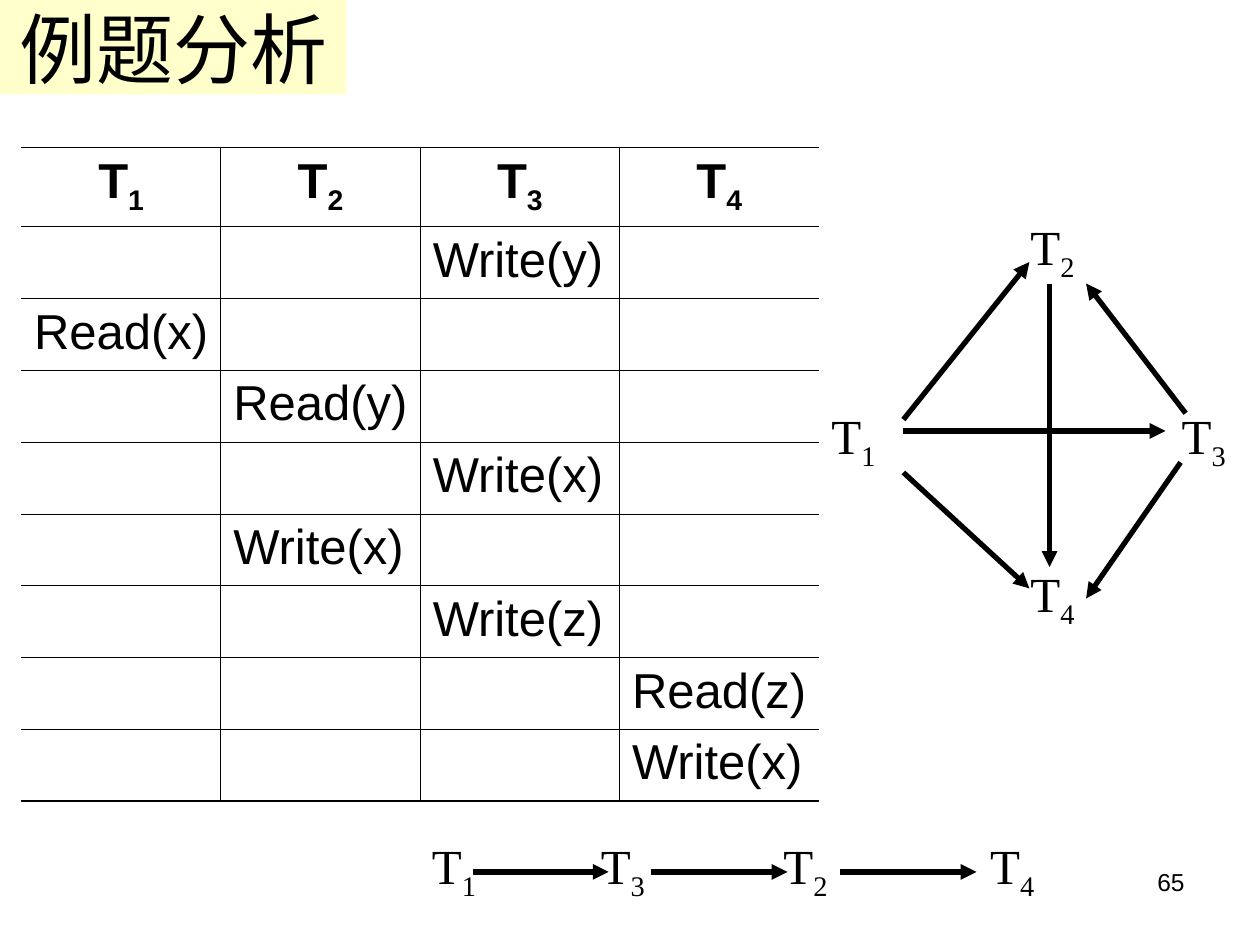
import dataclasses

import lxml.etree
import pptx
import pptx.dml.color
import pptx.enum.shapes
import pptx.enum.text
import pptx.oxml.ns
import pptx.util

Inches = pptx.util.Inches
Pt = pptx.util.Pt
qn = pptx.oxml.ns.qn
ALIGN = pptx.enum.text.PP_ALIGN


@dataclasses.dataclass(frozen=True)
class Theme:
    """Colours, fonts and sizes of the slide."""
    ink: str = "000000"
    title_fill: str = "FFFFCC"
    sans: str = "Arial"
    serif: str = "Times New Roman"
    title: int = 44
    body: int = 28
    number: int = 14
    arrow: float = 3
    thin: float = 0.45
    thick: float = 1.08


THEME = Theme()
HEADINGS = ("T1", "T2", "T3", "T4")
SCHEDULE = (
    (3, "Write(y)"), (1, "Read(x)"), (2, "Read(y)"), (3, "Write(x)"),
    (2, "Write(x)"), (3, "Write(z)"), (4, "Read(z)"), (4, "Write(x)"),
)


def rgb(code):
    """Return the colour for a hex code."""
    return pptx.dml.color.RGBColor.from_string(code)


def style(p, size, name, align=ALIGN.LEFT, bold=False):
    """Set the alignment and font of a paragraph."""
    p.alignment = align
    p.font.size, p.font.name, p.font.bold = Pt(size), name, bold
    p.font.color.rgb = rgb(THEME.ink)


def write_transaction(p, label):
    """Write a transaction name with its number as a subscript."""
    p.add_run().text = label[0]
    r = p.add_run()
    r.text = label[1:]
    r._r.get_or_add_rPr().set("baseline", "-25000")


def add_box(shapes, x, y, w, h):
    """Add a wrapping text box and return its first paragraph."""
    tf = shapes.add_textbox(Inches(x), Inches(y), Inches(w), Inches(h)).text_frame
    tf.word_wrap = True
    return tf.paragraphs[0]


def add_label(shapes, label, x, y):
    """Add one transaction label."""
    p = add_box(shapes, x, y, 0.63, 0.63)
    write_transaction(p, label)
    style(p, THEME.body, THEME.serif)


def add_arrow(shapes, x1, y1, x2, y2):
    """Add a heavy arrow that points at its second end."""
    c = shapes.add_connector(
        pptx.enum.shapes.MSO_CONNECTOR.STRAIGHT,
        Inches(x1), Inches(y1), Inches(x2), Inches(y2))
    c.line.width = Pt(THEME.arrow)
    c.line.color.rgb = rgb(THEME.ink)
    lxml.etree.SubElement(c.line._get_or_add_ln(), qn("a:tailEnd"), type="triangle")
    lxml.etree.SubElement(c._element.spPr, qn("a:effectLst"))


def set_border(cell, side, width):
    """Draw one cell border, or clear it when the width is zero."""
    ln = lxml.etree.SubElement(
        cell._tc.get_or_add_tcPr(), qn(f"a:ln{side}"), w=str(int(Pt(width))))
    if width:
        fill = lxml.etree.SubElement(ln, qn("a:solidFill"))
        lxml.etree.SubElement(fill, qn("a:srgbClr"), val=THEME.ink)
    else:
        lxml.etree.SubElement(ln, qn("a:noFill"))


def add_title(s, text, x, y, w, h):
    """Place the title on its tinted band."""
    sp = s.shapes.title
    sp.left, sp.top, sp.width, sp.height = (Inches(v) for v in (x, y, w, h))
    sp.fill.solid()
    sp.fill.fore_color.rgb = rgb(THEME.title_fill)
    tf = sp.text_frame
    tf.text = text
    tf.auto_size = pptx.enum.text.MSO_AUTO_SIZE.NONE
    tf.vertical_anchor = pptx.enum.text.MSO_ANCHOR.MIDDLE
    style(tf.paragraphs[0], THEME.title, THEME.sans, ALIGN.CENTER)


def add_schedule(s, x, y, w, h):
    """Add the table of operations, one step in each row."""
    rows, cols = len(SCHEDULE) + 1, len(HEADINGS)
    head = 0.63
    table = s.shapes.add_table(
        rows, cols, Inches(x), Inches(y), Inches(w), Inches(h)).table
    table.first_row = table.horz_banding = False
    for i, row in enumerate(table.rows):
        row.height = Inches((h - head) / (rows - 1) if i else head)
        for j, cell in enumerate(row.cells):
            set_border(cell, "L", THEME.thin if j else 0)
            set_border(cell, "R", THEME.thin if j < cols - 1 else 0)
            set_border(cell, "T", THEME.thin if i else THEME.thick)
            set_border(cell, "B", THEME.thin if i < rows - 1 else THEME.thick)
            cell.fill.background()
    for j, heading in enumerate(HEADINGS):
        p = table.cell(0, j).text_frame.paragraphs[0]
        write_transaction(p, heading)
        style(p, THEME.body, THEME.sans, ALIGN.CENTER, True)
    for i, (transaction, step) in enumerate(SCHEDULE, 1):
        p = table.cell(i, transaction - 1).text_frame.paragraphs[0]
        p.text = step
        style(p, THEME.body, THEME.sans)


def add_order(s, x, y):
    """Add the serial order as a chain of transactions."""
    shapes = s.shapes.add_group_shape().shapes
    for label, dx in (("T1", 0), ("T3", 1.34), ("T2", 2.79), ("T4", 4.43)):
        add_label(shapes, label, x + dx, y)
    for dx in (0.42, 1.84, 3.34):
        add_arrow(shapes, x + dx, y + 0.34, x + dx + 1.08, y + 0.34)


def add_graph(s, x, y):
    """Add the precedence graph."""
    shapes = s.shapes.add_group_shape().shapes
    nodes = (("T3", 2.78, 1.5), ("T1", 0, 1.5), ("T2", 1.58, 0), ("T4", 1.58, 2.75))
    edges = (
        (0.67, 1.75, 2.75, 1.75), (0.67, 1.66, 1.67, 0.41),
        (0.67, 2.08, 1.67, 3), (1.83, 0.58, 1.83, 2.83),
        (2.87, 2, 2.12, 3.08), (2.91, 1.61, 2.12, 0.58),
    )
    for label, dx, dy in nodes:
        add_label(shapes, label, x + dx, y + dy)
    for x1, y1, x2, y2 in edges:
        add_arrow(shapes, x + x1, y + y1, x + x2, y + y2)


def add_number(s, text, x, y, w, h):
    """Add the page number."""
    p = add_box(s.shapes, x, y, w, h)
    p.text = text
    style(p, THEME.number, THEME.sans, ALIGN.RIGHT)


def main():
    """Build and save the slide."""
    prs = pptx.Presentation()
    prs.slide_width, prs.slide_height = Inches(10), Inches(7.5)
    s = prs.slides.add_slide(prs.slide_layouts[5])
    add_title(s, "例题分析", 0, 0, 2.75, 0.75)
    add_schedule(s, 0.17, 1.17, 6.33, 5.19)
    add_order(s, 3.33, 6.58)
    add_graph(s, 6.5, 1.67)
    add_number(s, "65", 7.17, 6.83, 2.33, 0.52)
    prs.save("out.pptx")


if __name__ == "__main__":
    main()
